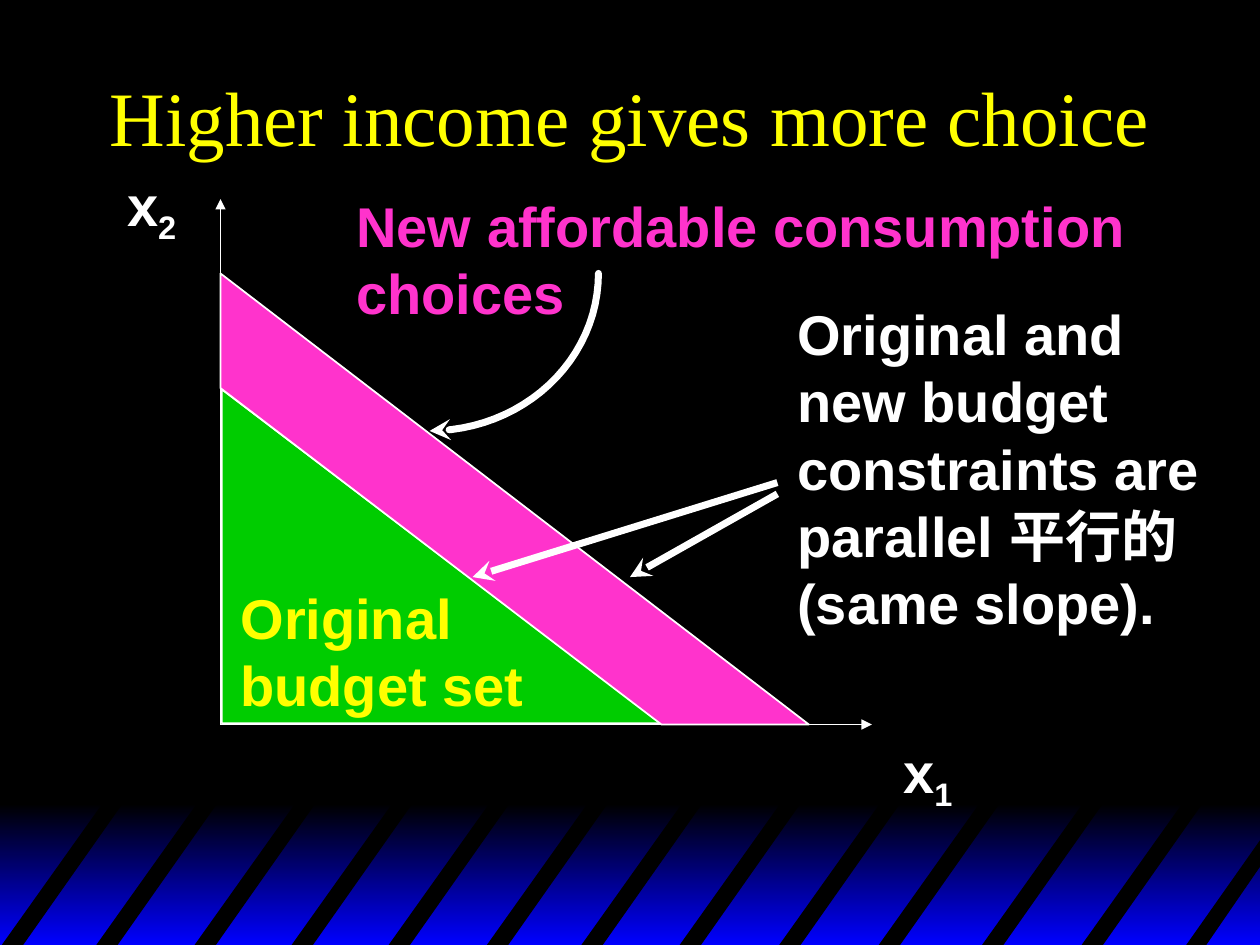
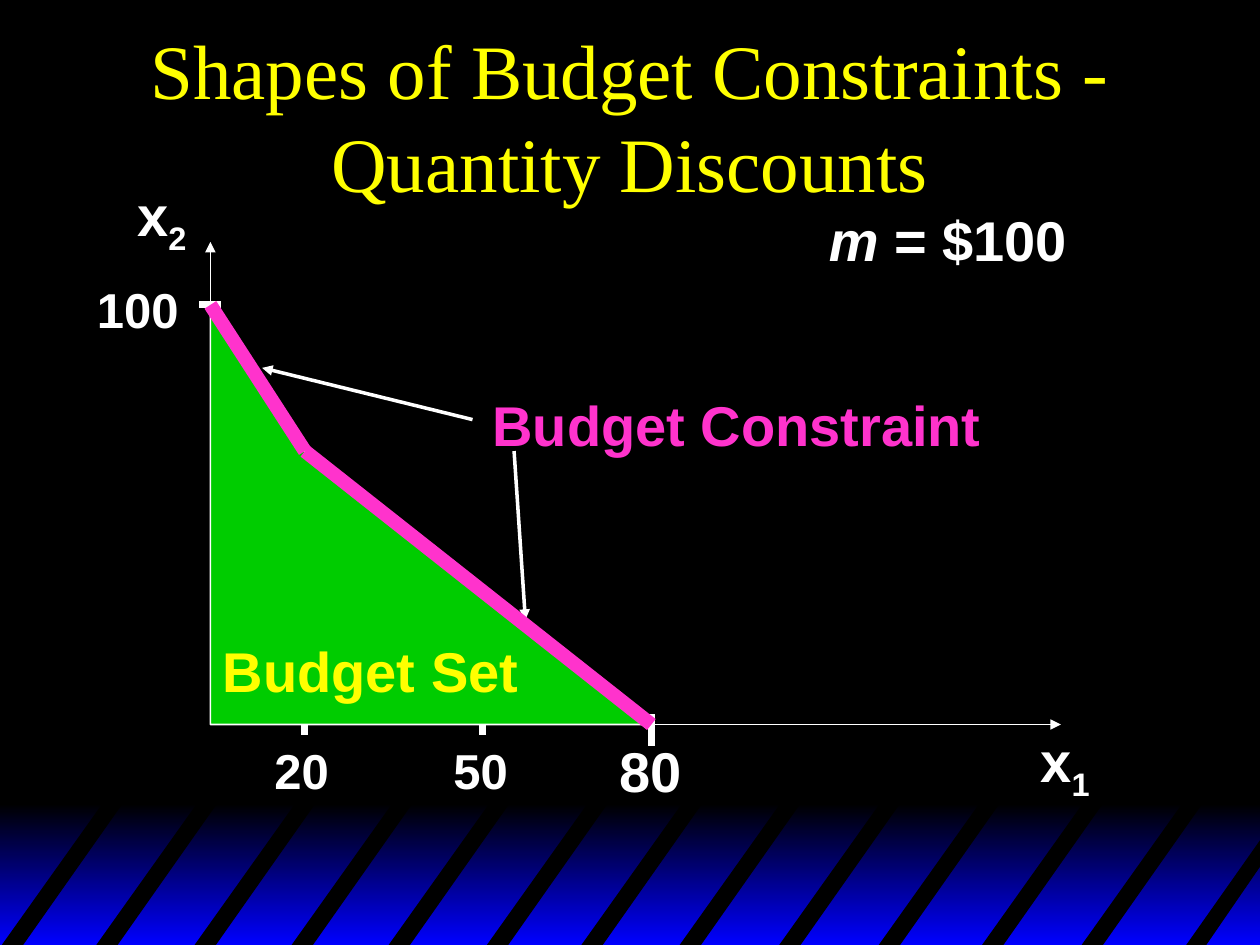
from dataclasses import dataclass
from math import cos, pi, sin

from lxml.etree import SubElement
from pptx import Presentation
from pptx.dml.color import RGBColor
from pptx.enum.shapes import MSO_CONNECTOR, MSO_SHAPE
from pptx.enum.text import MSO_ANCHOR, MSO_AUTO_SIZE, PP_ALIGN
from pptx.oxml.ns import qn
from pptx.util import Inches, Pt


@dataclass(frozen=True)
class Theme:
    black: RGBColor = RGBColor(0, 0, 0)
    blue: RGBColor = RGBColor(0, 0, 0xFF)
    white: RGBColor = RGBColor(0xFF, 0xFF, 0xFF)
    yellow: RGBColor = RGBColor(0xFF, 0xFF, 0)
    green: RGBColor = RGBColor(0, 0xCC, 0)
    pink: RGBColor = RGBColor(0xFF, 0x33, 0xCC)
    title_font: str = "Times New Roman"
    body_font: str = "Arial"
    title_size: int = 44
    body_size: int = 32
    tick_size: int = 28


theme = Theme()


def add_text(slide, box, paragraphs, color=theme.white, size=theme.body_size, wrap=False):
    """Each paragraph is a list of runs: (text, style), style "", "sub", "italic" or "break"."""
    sp = slide.shapes.add_textbox(*map(Inches, box))
    tf = sp.text_frame
    tf.word_wrap = wrap
    tf.auto_size = MSO_AUTO_SIZE.SHAPE_TO_FIT_TEXT
    for i, runs in enumerate(paragraphs):
        p = tf.add_paragraph() if i else tf.paragraphs[0]
        for text, style in runs:
            if style == "break":
                p.add_line_break()
            r = p.add_run()
            r.text = text
            r.font.name = theme.body_font
            r.font.size = Pt(size)
            r.font.bold = True
            r.font.italic = style == "italic"
            r.font.color.rgb = color
            if style == "sub":
                r._r.get_or_add_rPr().set("baseline", "-25000")
    return tf


def draw(slide, points, fill=None, line=None, width=1, head=None, tail=None):
    """Two points give a connector, more give a freeform, closed if filled."""
    pts = [(Inches(x), Inches(y)) for x, y in points]
    if len(pts) == 2:
        sp = slide.shapes.add_connector(MSO_CONNECTOR.STRAIGHT, *pts[0], *pts[1])
    else:
        builder = slide.shapes.build_freeform(*pts[0])
        builder.add_line_segments(pts[1:], close=fill is not None)
        sp = builder.convert_to_shape()
        if fill is None:
            sp.fill.background()
        else:
            sp.fill.solid()
            sp.fill.fore_color.rgb = fill
    if line is None:
        sp.line.fill.background()
    else:
        sp.line.color.rgb = line
        sp.line.width = Pt(width)
    for end, kind in (("a:headEnd", head), ("a:tailEnd", tail)):
        if kind:
            SubElement(sp.line._get_or_add_ln(), qn(end)).set("type", kind)
    SubElement(sp._element.spPr, qn("a:effectLst"))
    return sp


prs = Presentation()
prs.slide_width, prs.slide_height = Inches(10), Inches(7.5)

# Shared background, striped band and title
stripe_lefts = [0, 0.75, 1.53, 2.3, 3.07, 3.85, 4.6, 5.38, 6.17, 6.96, 7.78, 8.57]
stripes = [[(x, 7.52), (x + 0.84, 6.34), (x + 1, 6.34), (x + 0.17, 7.52)]
           for x in stripe_lefts]
stripes.append([(9.4, 7.52), (10.02, 6.64), (10.02, 6.85), (9.56, 7.52)])

for title in ("Higher income gives more choice",
              "Shapes of Budget Constraints - Quantity Discounts"):
    s = prs.slides.add_slide(prs.slide_layouts[6])
    s.background.fill.solid()
    s.background.fill.fore_color.rgb = theme.black

    band = s.shapes.add_shape(MSO_SHAPE.RECTANGLE, 0, Inches(6.38), Inches(10.02), Inches(1.12))
    band.shadow.inherit = False
    band.line.fill.background()
    band.fill.gradient()
    band.fill.gradient_angle = 270
    for stop, color in zip(band.fill.gradient_stops, (theme.black, theme.blue)):
        stop.color.rgb = color
    for stripe in stripes:
        draw(s, stripe, fill=theme.black)

    tf = add_text(s, (0.75, 0.25, 8.5, 1.33), [[(title, "")]],
                  theme.yellow, theme.title_size, wrap=True)
    tf.auto_size = MSO_AUTO_SIZE.NONE
    tf.vertical_anchor = MSO_ANCHOR.MIDDLE
    p = tf.paragraphs[0]
    p.alignment = PP_ALIGN.CENTER
    p.runs[0].font.name = theme.title_font
    p.runs[0].font.bold = False

income, discounts = prs.slides

# Axes: slide, origin x, top of the x2 axis, right end of the x1 axis, label places
axis_bottom = 5.75
for s, left, top, right, x2_at, x1_at in (
    (income, 1.75, 1.58, 6.92, (0.91, 1.3), (7.07, 5.8)),
    (discounts, 1.67, 1.92, 8.42, (0.99, 1.38), (8.16, 5.72)),
):
    draw(s, [(left, top), (left, axis_bottom)], line=theme.white, head="triangle")
    draw(s, [(left, axis_bottom), (right, axis_bottom)], line=theme.white, tail="triangle")
    for number, place in (("2", x2_at), ("1", x1_at)):
        add_text(s, (*place, 0.59, 0.71), [[("x", ""), (number, "sub")]])

# Higher income: original budget set and the newly affordable strip
sp = income.shapes.add_shape(MSO_SHAPE.RIGHT_TRIANGLE, Inches(1.76), Inches(3.09),
                             Inches(3.49), Inches(2.65))
sp.shadow.inherit = False
sp.fill.solid()
sp.fill.fore_color.rgb = theme.green
sp.line.color.rgb = theme.white
sp.line.width = Pt(1)
draw(income, [(1.75, 2.17), (6.42, 5.75), (5.25, 5.75), (1.75, 3.08)],
     fill=theme.pink, line=theme.white)

add_text(income, (1.81, 4.58, 2.45, 1.17),
         [[("Original", "")], [("budget set", "")]], theme.yellow)
add_text(income, (2.73, 1.47, 6.31, 1.17),
         [[("New affordable consumption", ""), ("choices", "break")]], theme.pink)
add_text(income, (6.23, 2.33, 3.63, 2.77),
         [[(text, "")] for text in ("Original and", "new budget", "constraints are",
                                    "parallel 平行的(same slope).")], wrap=True)

steps = 24
angles = [pi / 2 * i / steps for i in range(steps + 1)]
curve = draw(income, [(3.41 + 1.34 * cos(a), 2.17 + 1.25 * sin(a)) for a in angles],
             line=theme.white, width=4, tail="stealth")
curve.line._get_or_add_ln().set("cap", "rnd")
for start, end in (((6.17, 3.83), (3.75, 4.58)), ((6.17, 3.92), (5, 4.58))):
    draw(income, [start, end], line=theme.white, width=4, tail="stealth")

# Quantity discounts: ticks, budget set and kinked constraint
add_text(discounts, (6.48, 1.58, 2.09, 1.17),
         [[("m", "italic"), (" = $100", "")]], wrap=True)
for start, end in (((2.42, 5.67), (2.42, 5.83)), ((3.83, 5.67), (3.83, 5.83)),
                   ((5.17, 5.67), (5.17, 5.92)), ((1.58, 2.42), (1.75, 2.42))):
    draw(discounts, [start, end], line=theme.white, width=4)
for text, box in (("20", (2.08, 5.83, 0.67, 0.57)), ("50", (3.5, 5.83, 0.67, 0.57)),
                  ("100", (0.67, 2.17, 0.92, 0.57))):
    add_text(discounts, box, [[(text, "")]], size=theme.tick_size, wrap=True)
add_text(discounts, (4.82, 5.8, 0.7, 0.63), [[("80", "")]])

for start, end in (((3.75, 3.33), (2.08, 2.92)), ((4.08, 3.58), (4.17, 4.92))):
    draw(discounts, [start, end], line=theme.white, width=2, tail="triangle")

constraint = [(1.67, 2.42), (2.42, 3.58), (5.17, 5.75)]
draw(discounts, constraint + [(1.67, axis_bottom)], fill=theme.green, line=theme.white)
add_text(discounts, (1.67, 5, 2.7, 0.63), [[("Budget Set", "")]], theme.yellow, wrap=True)
add_text(discounts, (3.81, 3.05, 4.08, 0.63), [[("Budget Constraint", "")]], theme.pink)
for start, end in zip(constraint, constraint[1:]):
    draw(discounts, [start, end], line=theme.pink, width=8)

prs.save("out.pptx")
